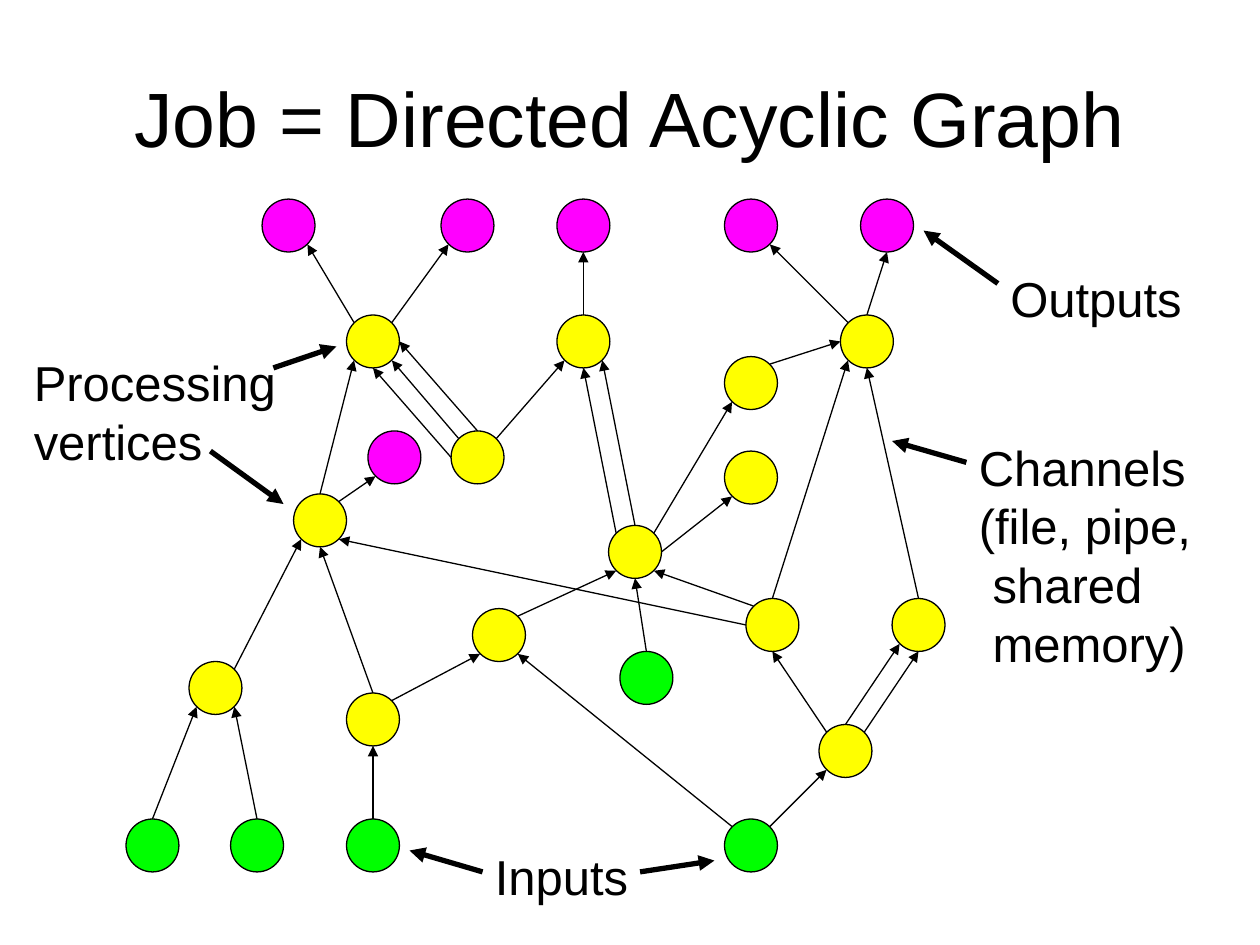
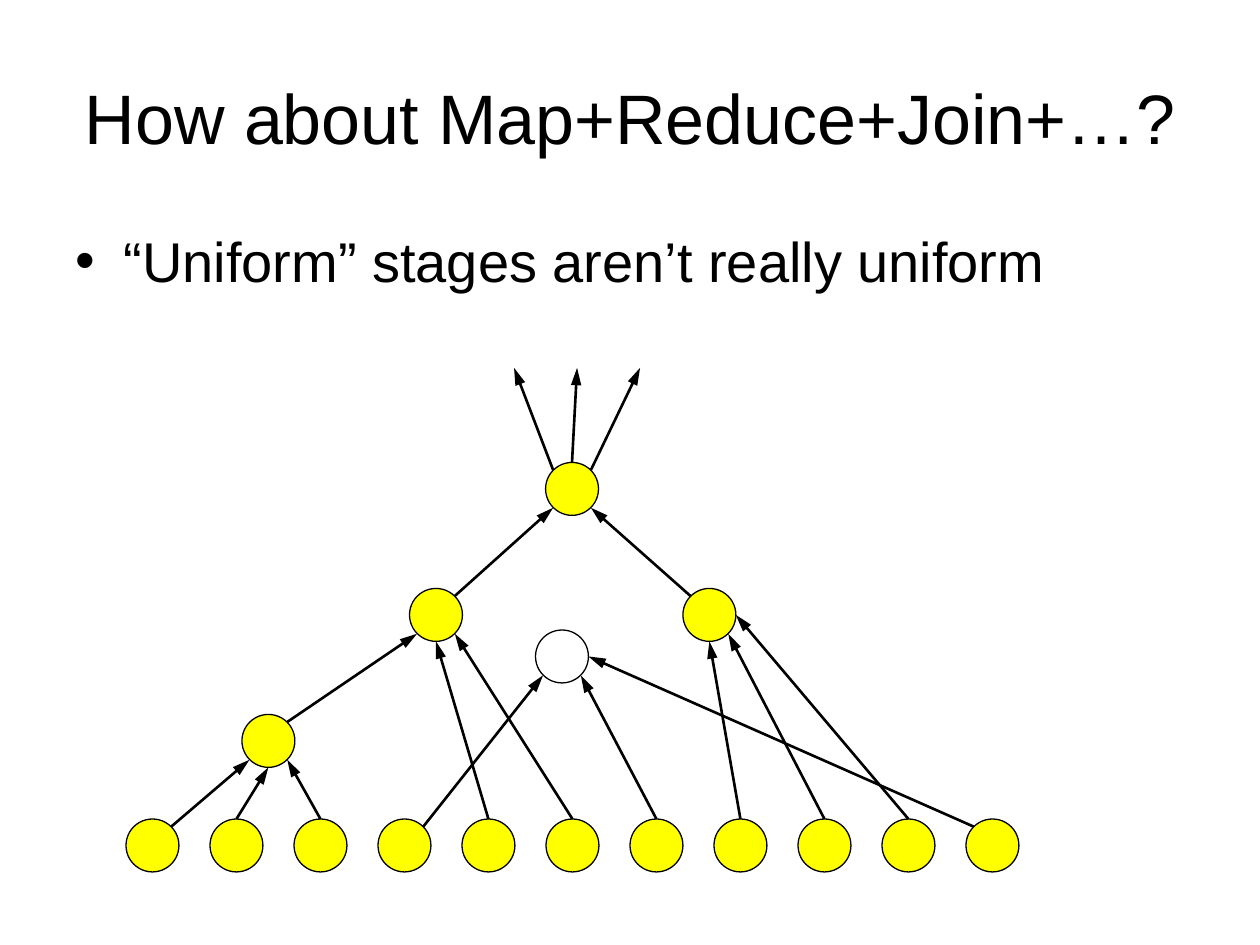
from lxml import etree
from pptx import Presentation
from pptx.dml.color import RGBColor
from pptx.enum.shapes import MSO_CONNECTOR, MSO_SHAPE
from pptx.enum.text import MSO_ANCHOR, MSO_AUTO_SIZE, PP_ALIGN
from pptx.oxml.ns import qn
from pptx.util import Inches, Pt

STRAIGHT = MSO_CONNECTOR.STRAIGHT
OVAL = MSO_SHAPE.OVAL
MIDDLE = MSO_ANCHOR.MIDDLE
NO_FIT = MSO_AUTO_SIZE.NONE
LEFT, CENTER = PP_ALIGN.LEFT, PP_ALIGN.CENTER

FONT = "Arial"
BLACK, WHITE = "000000", "FFFFFF"
GREEN, MAGENTA, YELLOW = "00FF00", "FF00FF", "FFFF00"
DIAMETER = 0.42
RADIUS, DIAGONAL = 0.21, 0.15
SITES = {
    "n": (0, -RADIUS), "ne": (DIAGONAL, -DIAGONAL),
    "e": (RADIUS, 0), "se": (DIAGONAL, DIAGONAL),
    "s": (0, RADIUS), "sw": (-DIAGONAL, DIAGONAL),
    "w": (-RADIUS, 0), "nw": (-DIAGONAL, -DIAGONAL),
}


def color(value):
    return RGBColor.from_string(value)


def add_arrow(s, start, end, width, length="med"):
    line = s.shapes.add_connector(STRAIGHT, *[Inches(v) for v in (*start, *end)])
    line.line.color.rgb = color(BLACK)
    line.line.width = Pt(width)
    ln = line.line._get_or_add_ln()
    etree.SubElement(ln, qn("a:tailEnd"), type="triangle", w="med", len=length)
    etree.SubElement(line._element.spPr, qn("a:effectLst"))


dag_nodes = {
    "in1": (1, 6.5, GREEN), "in2": (1.83, 6.5, GREEN), "in3": (2.75, 6.5, GREEN),
    "in4": (5.75, 6.5, GREEN), "in5": (4.92, 5.17, GREEN),
    "out1": (2.08, 1.58, MAGENTA), "out2": (3.5, 1.58, MAGENTA),
    "out3": (4.42, 1.58, MAGENTA), "out4": (5.75, 1.58, MAGENTA),
    "out5": (6.83, 1.58, MAGENTA), "out6": (2.92, 3.42, MAGENTA),
    "v1": (1.5, 5.25, YELLOW), "v2": (2.75, 5.5, YELLOW), "v3": (3.75, 4.83, YELLOW),
    "v4": (6.5, 5.75, YELLOW), "v5": (5.92, 4.75, YELLOW), "v6": (7.08, 4.75, YELLOW),
    "v7": (2.33, 3.92, YELLOW), "v8": (4.83, 4.17, YELLOW), "v9": (3.58, 3.42, YELLOW),
    "v10": (5.75, 3.58, YELLOW), "v11": (5.75, 2.83, YELLOW), "v12": (2.75, 2.5, YELLOW),
    "v13": (4.42, 2.5, YELLOW), "v14": (6.67, 2.5, YELLOW),
}
dag_edges = [
    "in1 n v1 sw", "in2 n v1 se", "in3 n v2 s", "in4 nw v3 se", "in4 ne v4 sw",
    "in5 n v8 s", "v1 ne v7 sw", "v2 n v7 s", "v2 ne v3 sw", "v3 ne v8 sw",
    "v4 ne v6 s", "v4 n v6 sw", "v4 nw v5 s", "v5 w v7 se", "v5 nw v8 se",
    "v5 n v14 sw", "v6 n v14 s", "v7 n v12 sw", "v7 ne out6 sw", "v8 e v10 sw",
    "v8 ne v11 sw", "v8 nw v13 s", "v8 n v13 se", "v9 nw v12 se", "v9 w v12 s",
    "v9 n v12 e", "v9 ne v13 sw", "v11 ne v14 w", "v12 nw out1 se", "v12 ne out2 sw",
    "v13 n out3 s", "v14 nw out4 se", "v14 n out5 s",
]

tree_nodes = {f"leaf{i}": (1 + i * 2 / 3, 6.5, YELLOW) for i in range(11)}
tree_nodes.update({
    "low": (1.92, 5.67, YELLOW), "left": (3.25, 4.67, YELLOW),
    "right": (5.42, 4.67, YELLOW), "blank": (4.25, 5, WHITE), "root": (4.33, 3.67, YELLOW),
})
tree_edges = [
    "leaf0 ne low sw", "leaf1 n low s", "leaf2 n low se", "leaf3 ne blank sw",
    "leaf4 n left s", "leaf5 n left se", "leaf6 n blank se", "leaf7 n right s",
    "leaf8 n right se", "leaf9 n right e", "leaf10 nw blank e", "low ne left sw",
    "left ne root sw", "right nw root se",
]

graphs = [
    ("Job = Directed Acyclic Graph", 44, 5, dag_nodes, dag_edges, 0.75, "med"),
    ("How about Map+Reduce+Join+…?", 40, 1, tree_nodes, tree_edges, 1.5, "lg"),
]

prs = Presentation()
prs.slide_width, prs.slide_height = Inches(10), Inches(7.5)

for title, size, layout, nodes, edges, width, length in graphs:
    s = prs.slides.add_slide(prs.slide_layouts[layout])
    sp = s.shapes.title
    sp.left, sp.top, sp.width, sp.height = [Inches(v) for v in (0.5, 0.3, 9, 1.25)]
    tf = sp.text_frame
    tf.auto_size = NO_FIT
    tf.vertical_anchor = MIDDLE
    p = tf.paragraphs[0]
    p.alignment = CENTER
    r = p.add_run()
    r.text = title
    r.font.name, r.font.size = FONT, Pt(size)
    r.font.color.rgb = color(BLACK)

    for x, y, fill in nodes.values():
        sp = s.shapes.add_shape(OVAL, Inches(x), Inches(y), Inches(DIAMETER), Inches(DIAMETER))
        sp.shadow.inherit = False
        sp.fill.solid()
        sp.fill.fore_color.rgb = color(fill)
        sp.line.color.rgb = color(BLACK)
        sp.line.width = Pt(0.75)

    for edge in edges:
        source, exit_site, target, entry_site = edge.split()
        ends = []
        for node, site in ((source, exit_site), (target, entry_site)):
            x, y, fill = nodes[node]
            dx, dy = SITES[site]
            ends.append((x + RADIUS + dx, y + RADIUS + dy))
        add_arrow(s, *ends, width, length)

dag, tree = prs.slides

labels = [
    (0.17, 2.75, 2.13, 1.03, [("Processing", 0), ("vertices", 0)]),
    (7.67, 3.42, 1.89, 1.97,
     [("Channels", 0), ("(file, pipe,", 0), ("shared", 0.11), ("memory)", 0.11)]),
    (3.83, 6.67, 1.26, 0.57, [("Inputs", 0)]),
    (7.92, 2.08, 1.56, 0.57, [("Outputs", 0)]),
]
for x, y, w, h, lines in labels:
    tf = dag.shapes.add_textbox(Inches(x), Inches(y), Inches(w), Inches(h)).text_frame
    tf.word_wrap = False
    for i, (text, indent) in enumerate(lines):
        p = tf.add_paragraph() if i else tf.paragraphs[0]
        p.alignment = LEFT
        if indent:
            p._p.get_or_add_pPr().set("marL", str(Inches(indent)))
        r = p.add_run()
        r.text = text
        r.font.name, r.font.size = FONT, Pt(28)
        r.font.color.rgb = color(BLACK)

pointers = [
    ((3.83, 6.92), (3.25, 6.75)), ((5.08, 6.92), (5.67, 6.83)),
    ((7.92, 2.25), (7.33, 1.83)), ((1.67, 3.58), (2.25, 4)),
    ((2.17, 2.92), (2.67, 2.75)), ((7.67, 3.67), (7.08, 3.5)),
]
for start, end in pointers:
    add_arrow(dag, start, end, 3)

root_exits = [((4.39, 3.73), 4.08), ((4.54, 3.67), 4.58), ((4.69, 3.73), 5.08)]
for start, x in root_exits:
    add_arrow(tree, start, (x, 2.92), 1.5, "lg")

sp = tree.placeholders[1]
sp.left, sp.top, sp.width, sp.height = [Inches(v) for v in (0.5, 1.75, 9, 4.95)]
tf = sp.text_frame
tf.auto_size = NO_FIT
p = tf.paragraphs[0]
pPr = p._p.get_or_add_pPr()
pPr.set("marL", str(Inches(0.38)))
pPr.set("indent", str(Inches(-0.38)))
etree.SubElement(pPr, qn("a:buFont"), typeface=FONT)
etree.SubElement(pPr, qn("a:buChar"), char="•")
p.space_before = Pt(0)
r = p.add_run()
r.text = "“Uniform” stages aren’t really uniform"
r.font.name, r.font.size = FONT, Pt(32)
r.font.color.rgb = color(BLACK)

prs.save("out.pptx")
